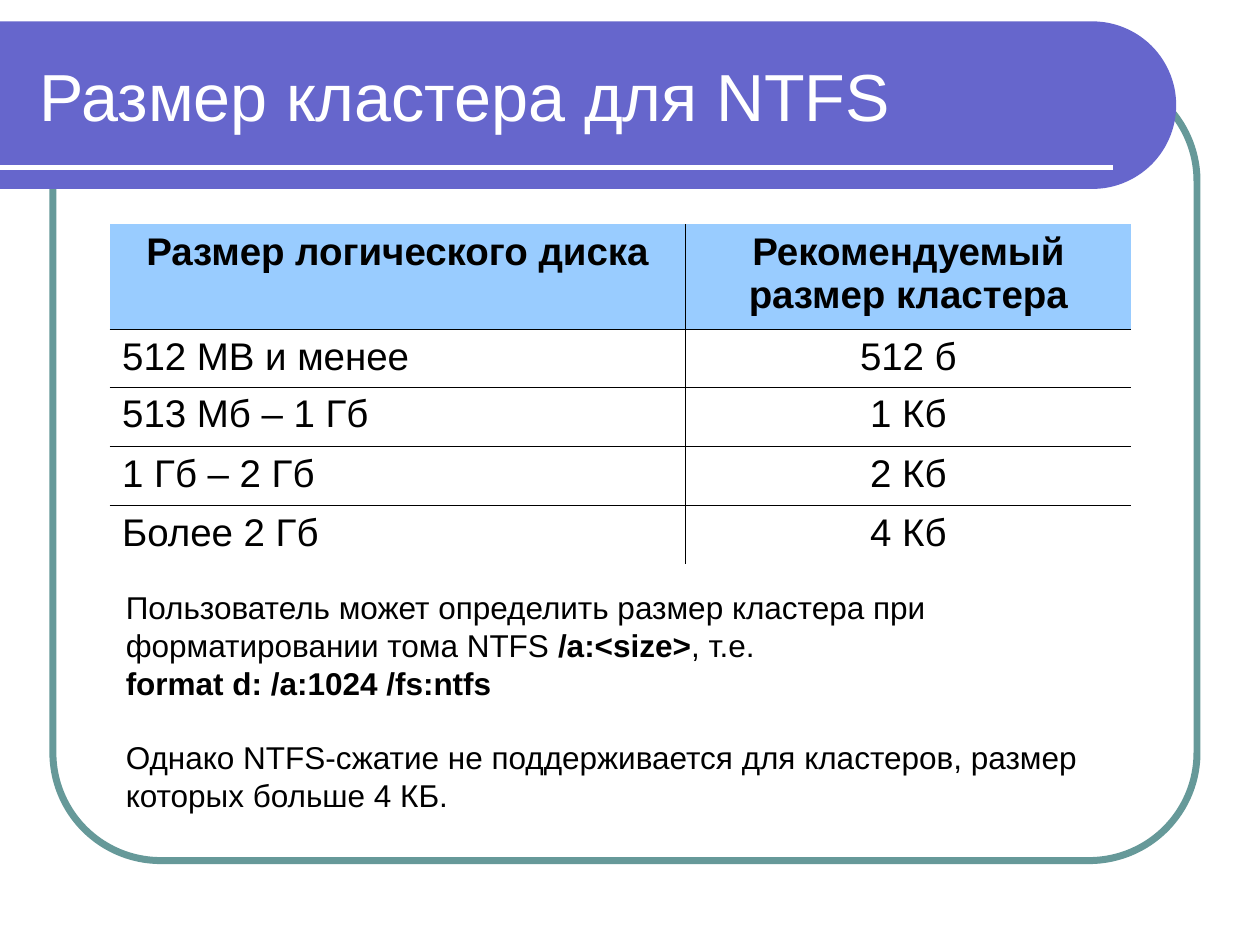
import math

from lxml import etree
from pptx import Presentation
from pptx.dml.color import RGBColor
from pptx.enum.shapes import MSO_CONNECTOR, MSO_SHAPE
from pptx.enum.text import MSO_ANCHOR, MSO_AUTO_SIZE, PP_ALIGN
from pptx.oxml.ns import qn
from pptx.util import Inches, Pt

LEFT, CENTER = PP_ALIGN.LEFT, PP_ALIGN.CENTER
TITLE_ONLY = 5
FONT = "Arial"
BLACK, WHITE = "000000", "FFFFFF"
BANNER, FRAME, HEADER = "6666CC", "669999", "99CCFF"
BORDER_WIDTH = 0.34

COLUMN_WIDTHS = [4.57, 3.54]
ROW_HEIGHTS = [0.83, 0.46, 0.47, 0.47, 0.47]
CLUSTER_SIZES = [
    ("Размер логического диска", "Рекомендуемый размер кластера"),
    ("512 MB и менее", "512 б"),
    ("513 Мб – 1 Гб", "1 Кб"),
    ("1 Гб – 2 Гб", "2 Кб"),
    ("Более 2 Гб", "4 Кб"),
]


def color(value):
    return RGBColor.from_string(value)


def place(*lengths):
    return [Inches(length) for length in lengths]


def add_text(para, text, size=18, ink=BLACK, bold=False, align=LEFT):
    para.alignment = align
    span = para.add_run()
    span.text = text
    span.font.name = FONT
    span.font.size = Pt(size)
    span.font.bold = bold
    span.font.color.rgb = color(ink)


def add_frame(page):
    frame = page.shapes.add_shape(
        MSO_SHAPE.ROUNDED_RECTANGLE, *place(0.42, 0.58, 9.08, 6.25))
    frame.adjustments[0] = 0.137
    frame.shadow.inherit = False
    frame.fill.background()
    frame.line.color.rgb = color(FRAME)
    frame.line.width = Pt(4)


def add_banner(page):
    """Draw a bar from the left slide edge that ends in a half circle."""
    middle, radius, arc_left, steps = 0.835, 0.665, 8.67, 60
    angles = [math.pi * (step / steps - 0.5) for step in range(steps + 1)]
    arc = [place(arc_left + radius * math.cos(angle),
                 middle + radius * math.sin(angle)) for angle in angles]
    builder = page.shapes.build_freeform(*place(0, middle - radius))
    builder.add_line_segments(arc + [place(0, middle + radius)], close=True)
    banner = builder.convert_to_shape()
    banner.shadow.inherit = False
    banner.fill.solid()
    banner.fill.fore_color.rgb = color(BANNER)
    banner.line.fill.background()


def add_rule(page):
    rule = page.shapes.add_connector(
        MSO_CONNECTOR.STRAIGHT, *place(0, 1.33, 8.83, 1.33))
    rule.line.color.rgb = color(WHITE)
    rule.line.width = Pt(3)
    properties = rule.element.find(qn("p:spPr"))
    etree.SubElement(properties, qn("a:effectLst"))


def set_title(page, text):
    title = page.shapes.title
    title.left, title.top, title.width, title.height = place(
        0.21, 0.25, 8.77, 1)
    title.element.getparent().append(title.element)  # in front of the banner
    title.text_frame.auto_size = MSO_AUTO_SIZE.NONE
    title.text_frame.vertical_anchor = MSO_ANCHOR.MIDDLE
    add_text(title.text_frame.paragraphs[0], text, size=38, ink=WHITE)


def set_borders(cell, visible):
    """Draw the visible sides (of L, R, T, B) and clear the others."""
    properties = cell._tc.get_or_add_tcPr()
    for position, side in enumerate("LRTB"):
        border = etree.Element(qn(f"a:ln{side}"), w=str(Pt(BORDER_WIDTH)))
        if side in visible:
            fill = etree.SubElement(border, qn("a:solidFill"))
            etree.SubElement(fill, qn("a:srgbClr"), val=BLACK)
        else:
            etree.SubElement(border, qn("a:noFill"))
        properties.insert(position, border)


def add_cluster_table(page):
    last = len(CLUSTER_SIZES) - 1
    table = page.shapes.add_table(
        len(CLUSTER_SIZES), len(COLUMN_WIDTHS),
        *place(0.87, 1.78, sum(COLUMN_WIDTHS), sum(ROW_HEIGHTS))).table
    for column, width in zip(table.columns, COLUMN_WIDTHS):
        column.width = Inches(width)
    for row, height in zip(table.rows, ROW_HEIGHTS):
        row.height = Inches(height)
    for row, texts in enumerate(CLUSTER_SIZES):
        is_header = row == 0
        for column, text in enumerate(texts):
            cell = table.cell(row, column)
            if is_header:
                cell.fill.solid()
                cell.fill.fore_color.rgb = color(HEADER)
            else:
                cell.fill.background()
            add_text(cell.text_frame.paragraphs[0], text, size=22,
                     bold=is_header,
                     align=CENTER if is_header or column else LEFT)
            inner = "L" if column else "R"
            inner += "" if is_header else "T"
            inner += "" if row == last else "B"
            set_borders(cell, inner)


def add_notes_on_format(page):
    box = page.shapes.add_textbox(*place(0.9, 4.62, 8.07, 1.9))
    frame = box.text_frame
    frame.word_wrap = True
    frame.auto_size = MSO_AUTO_SIZE.SHAPE_TO_FIT_TEXT
    para = frame.paragraphs[0]
    add_text(para, "Пользователь может определить размер кластера при "
                   "форматировании тома NTFS ")
    add_text(para, "/a:<size>", bold=True)
    add_text(para, ", т.е.")
    add_text(frame.add_paragraph(), "format d: /a:1024 /fs:ntfs", bold=True)
    para = frame.add_paragraph()
    para.space_before = Pt(21)
    add_text(para, "Однако NTFS-сжатие не поддерживается для кластеров, "
                   "размер которых больше 4 КБ.")


def main():
    deck = Presentation()
    deck.slide_width, deck.slide_height = place(10, 7.5)
    page = deck.slides.add_slide(deck.slide_layouts[TITLE_ONLY])
    add_frame(page)
    add_banner(page)
    add_rule(page)
    set_title(page, "Размер кластера для NTFS")
    add_cluster_table(page)
    add_notes_on_format(page)
    deck.save("out.pptx")


if __name__ == "__main__":
    main()
